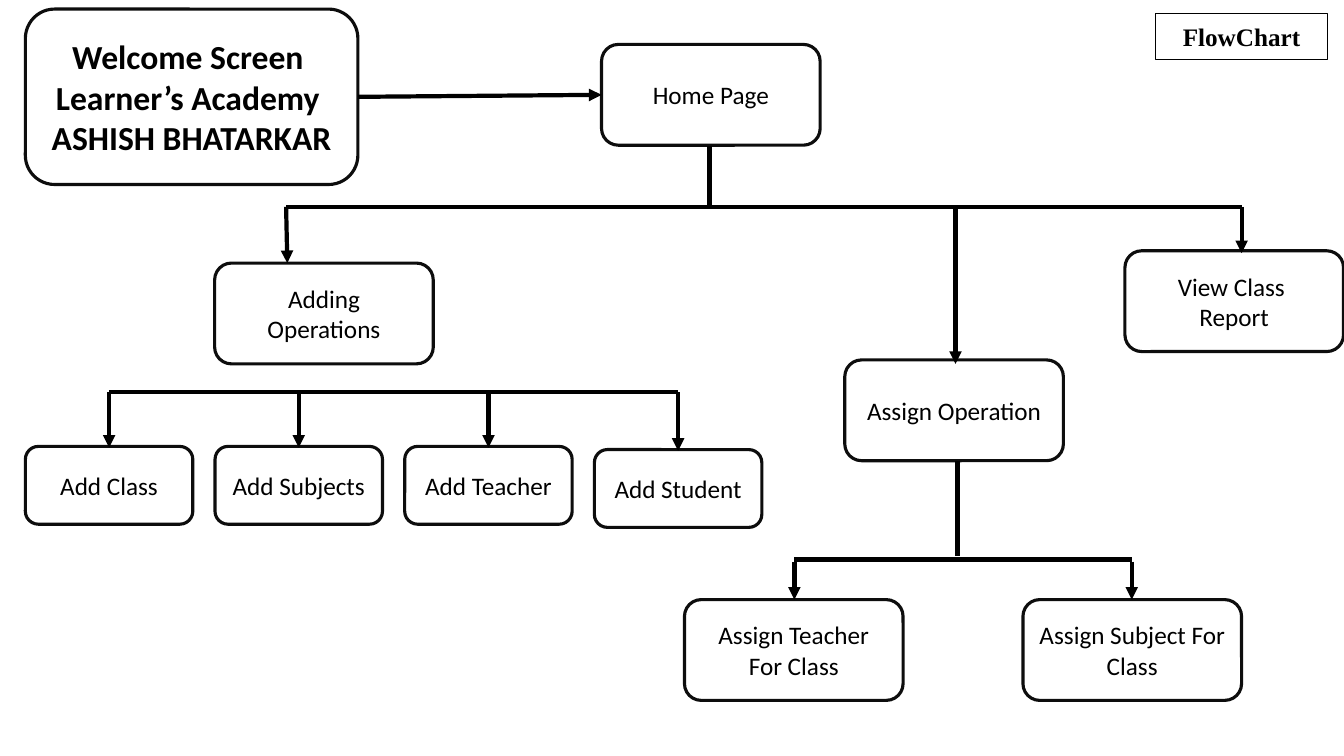
"""Draw the flowchart of the academy's screens and operations."""
from typing import NamedTuple, Optional

from lxml import etree
from pptx import Presentation
from pptx import util as u
from pptx.dml.color import RGBColor
from pptx.enum import shapes, text
from pptx.oxml import ns

BLACK = RGBColor(0x00, 0x00, 0x00)
OUTLINE = RGBColor(0x0D, 0x0D, 0x0D)
WHITE = RGBColor(0xFF, 0xFF, 0xFF)


class Box(NamedTuple):
    lines: tuple[str, ...]
    x: float
    y: float
    w: float = 5.51
    h: float = 2.54
    size: int = 18
    bold: bool = False
    font: str = "Calibri"
    shape: shapes.MSO_SHAPE = shapes.MSO_SHAPE.ROUNDED_RECTANGLE
    fill: Optional[RGBColor] = WHITE
    line: RGBColor = OUTLINE
    weight: float = 2.25


class Link(NamedTuple):
    x1: float
    y1: float
    x2: float
    y2: float
    arrow: bool = False


ADD_X, ADD_STEP, ADD_W, ADD_H = 0.64, 4.78, 4.22, 1.96
ADD_BUS_Y, ASSIGN_BUS_Y, HOME_BUS_Y = 9.88, 14.1, 5.21
ADD_TOPS = {"Add Class": 11.25, "Add Subjects": 11.25, "Add Teacher": 11.25, "Add Student": 11.33}
ADD_BOXES = [
    Box((name,), ADD_X + i * ADD_STEP, top, ADD_W, ADD_H)
    for i, (name, top) in enumerate(ADD_TOPS.items())
]
ADD_CENTRES = [b.x + b.w / 2 for b in ADD_BOXES]

BOXES = [
    Box(("Welcome Screen ", "Learner’s Academy ", "ASHISH BHATARKAR"),
        0.64, 0.23, 8.38, 4.42, size=24, bold=True),
    Box(("Home Page",), 15.16, 1.12),
    Box(("Adding Operations",), 5.41, 6.63),
    Box(("Assign Operation",), 21.29, 9.07),
    Box(("View Class ", "Report"), 28.35, 6.32),
    Box(("Assign Teacher For Class",), 17.25, 15.11),
    Box(("Assign Subject For Class",), 25.78, 15.11),
    Box(("FlowChart",), 29.13, 0.33, 4.32, 1.17, bold=True, font="Times New Roman",
        shape=shapes.MSO_SHAPE.RECTANGLE, fill=None, line=BLACK, weight=0.75),
    *ADD_BOXES,
]

LINKS = [
    Link(9.02, 2.44, 15.16, 2.39, True),
    Link(17.88, 3.68, 17.88, HOME_BUS_Y),
    Link(7.21, HOME_BUS_Y, 31.29, HOME_BUS_Y),
    Link(7.21, HOME_BUS_Y, 7.24, 6.63, True),
    Link(24.08, HOME_BUS_Y, 24.08, 9.17, True),
    Link(31.29, HOME_BUS_Y, 31.29, 6.38, True),
    Link(24.13, 11.61, 24.13, 14.02),
    Link(20.02, ASSIGN_BUS_Y, 28.52, ASSIGN_BUS_Y),
    *(Link(x, ASSIGN_BUS_Y + 0.05, x, 15.11, True) for x in (20.02, 28.52)),
    Link(ADD_CENTRES[0], ADD_BUS_Y, ADD_CENTRES[-1], ADD_BUS_Y),
    *(Link(x, ADD_BUS_Y, x, b.y + 0.03, True) for x, b in zip(ADD_CENTRES, ADD_BOXES)),
]


def draw_box(s, box: Box) -> None:
    sp = s.shapes.add_shape(box.shape, u.Cm(box.x), u.Cm(box.y), u.Cm(box.w), u.Cm(box.h))
    sp.shadow.inherit = False
    if box.fill is None:
        sp.fill.background()
    else:
        sp.fill.solid()
        sp.fill.fore_color.rgb = box.fill
    sp.line.color.rgb = box.line
    sp.line.width = u.Pt(box.weight)
    tf = sp.text_frame
    tf.word_wrap = True
    tf.vertical_anchor = text.MSO_ANCHOR.MIDDLE
    for i, line in enumerate(box.lines):
        p = tf.add_paragraph() if i else tf.paragraphs[0]
        p.text = line
        p.alignment = text.PP_ALIGN.CENTER
        p.font.name = box.font
        p.font.size = u.Pt(box.size)
        p.font.bold = box.bold
        p.font.color.rgb = BLACK


def draw_link(s, link: Link) -> None:
    sp = s.shapes.add_connector(
        shapes.MSO_CONNECTOR.STRAIGHT,
        u.Cm(link.x1), u.Cm(link.y1), u.Cm(link.x2), u.Cm(link.y2),
    )
    sp.line.color.rgb = BLACK
    sp.line.width = u.Pt(3)
    if link.arrow:
        etree.SubElement(sp.line._get_or_add_ln(), ns.qn("a:tailEnd"), type="triangle")
    etree.SubElement(sp._element.spPr, ns.qn("a:effectLst"))


def main() -> None:
    prs = Presentation()
    prs.slide_width, prs.slide_height = u.Cm(33.87), u.Cm(19.05)
    s = prs.slides.add_slide(prs.slide_layouts[6])
    for box in BOXES:
        draw_box(s, box)
    for link in LINKS:
        draw_link(s, link)
    prs.save("out.pptx")


if __name__ == "__main__":
    main()
